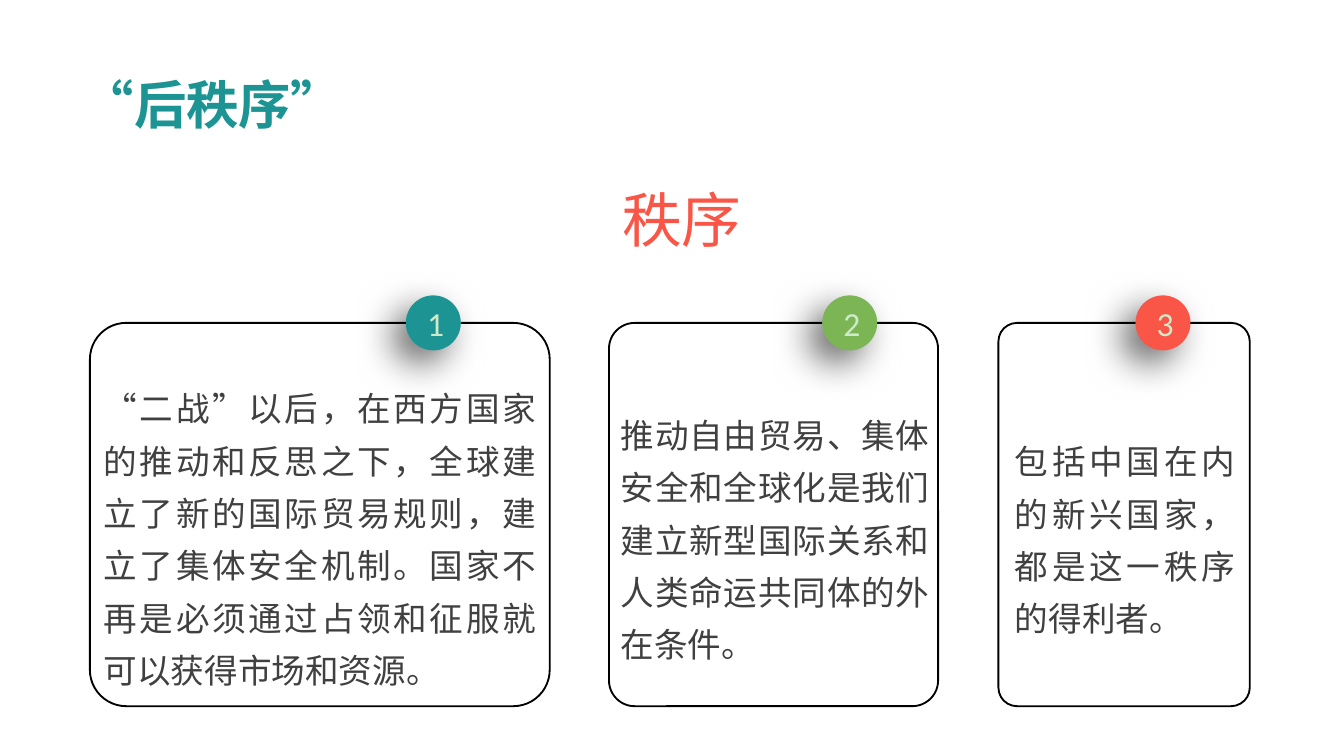
from dataclasses import dataclass

from lxml.etree import SubElement
from pptx import Presentation
from pptx.dml.color import RGBColor
from pptx.enum.shapes import MSO_SHAPE
from pptx.enum.text import MSO_ANCHOR, PP_ALIGN
from pptx.oxml.ns import qn
from pptx.shapes.autoshape import Shape
from pptx.slide import Slide
from pptx.text.text import _Paragraph
from pptx.util import Cm, Pt

TEAL = RGBColor(0x1C, 0x94, 0x94)
GREEN = RGBColor(0x7C, 0xB5, 0x54)
CORAL = RGBColor(0xF9, 0x56, 0x47)
PALE_GREEN = RGBColor(0xCE, 0xEA, 0xCA)
GRAY = RGBColor(0x40, 0x40, 0x40)
BLACK = RGBColor(0, 0, 0)

CHINESE_FONT = "Noto Sans CJK SC"
NUMBER_FONT = "Calibri"

CARD_TOP = 6.1
CARD_HEIGHT = 7.24
BADGE_SIZE = 1.04
TEXT_MIDDLE = 10.11
LINE_HEIGHT = 1.0


@dataclass
class Card:
    left: float
    width: float
    corner: float
    badge_left: float
    color: RGBColor
    text_left: float
    text_width: float
    line_count: int
    text: str


CARDS = [
    Card(1.7, 8.69, 0.095, 7.67, TEAL, 1.96, 8.18, 6,
         "“二战”以后，在西方国家的推动和反思之下，全球建立了新的国际贸易规则，"
         "建立了集体安全机制。国家不再是必须通过占领和征服就可以获得市场和资源。"),
    Card(11.51, 6.22, 0.078, 15.54, GREEN, 11.73, 5.84, 5,
         "推动自由贸易、集体安全和全球化是我们建立新型国际关系和人类命运共同体的外在条件。"),
    Card(18.87, 4.75, 0.074, 21.46, CORAL, 19.18, 4.17, 4,
         "包括中国在内的新兴国家，都是这一秩序的得利者。"),
]


def write(para: _Paragraph, text: str, size: int, color: RGBColor,
          typeface: str = CHINESE_FONT, bold: bool = False) -> None:
    para.text = text
    font = para.font
    font.size, font.bold, font.name = Pt(size), bold, typeface
    font.color.rgb = color
    east_asian = SubElement(font._element, qn("a:ea"))
    east_asian.set("typeface", typeface)


def add_heading(page: Slide, left: float, top: float, width: float, height: float,
                text: str, size: int, color: RGBColor, bold: bool = False) -> None:
    box = page.shapes.add_textbox(Cm(left), Cm(top), Cm(width), Cm(height))
    box.text_frame.word_wrap = False
    write(box.text_frame.paragraphs[0], text, size, color, bold=bold)


def add_outline(page: Slide, card: Card) -> None:
    outline = page.shapes.add_shape(
        MSO_SHAPE.ROUNDED_RECTANGLE,
        Cm(card.left), Cm(CARD_TOP), Cm(card.width), Cm(CARD_HEIGHT))
    outline.adjustments[0] = card.corner
    outline.fill.background()
    outline.line.color.rgb = BLACK
    outline.line.width = Pt(1)
    outline.shadow.inherit = False


def add_shadow(shape: Shape) -> None:
    shape.shadow.inherit = False
    effects = shape._element.spPr.find(qn("a:effectLst"))
    shadow = SubElement(effects, qn("a:outerShdw"), blurRad=str(Pt(20)),
                        dist=str(Pt(10)), dir=str(135 * 60000),
                        algn="tr", rotWithShape="0")
    color = SubElement(shadow, qn("a:srgbClr"), val=str(BLACK))
    SubElement(color, qn("a:alpha"), val="60000")


def add_badge(page: Slide, card: Card, number: int) -> None:
    badge = page.shapes.add_shape(
        MSO_SHAPE.OVAL, Cm(card.badge_left), Cm(CARD_TOP - BADGE_SIZE / 2),
        Cm(BADGE_SIZE), Cm(BADGE_SIZE))
    badge.fill.solid()
    badge.fill.fore_color.rgb = card.color
    badge.line.fill.background()
    add_shadow(badge)
    badge.text_frame.vertical_anchor = MSO_ANCHOR.MIDDLE
    para = badge.text_frame.paragraphs[0]
    para.alignment = PP_ALIGN.CENTER
    write(para, str(number), 18, PALE_GREEN, NUMBER_FONT)


def add_card_text(page: Slide, card: Card) -> None:
    height = card.line_count * LINE_HEIGHT
    box = page.shapes.add_textbox(
        Cm(card.text_left), Cm(TEXT_MIDDLE - height / 2),
        Cm(card.text_width), Cm(height))
    frame = box.text_frame
    frame.word_wrap = True
    frame.margin_left = frame.margin_right = 0
    frame.margin_top = frame.margin_bottom = 0
    para = frame.paragraphs[0]
    para.alignment = PP_ALIGN.JUSTIFY
    para.line_spacing = Pt(28)
    write(para, card.text, 18, GRAY)


def main() -> None:
    deck = Presentation()
    deck.slide_width, deck.slide_height = Cm(25.4), Cm(14.28)
    page = deck.slides.add_slide(deck.slide_layouts[6])
    add_heading(page, 11.51, 3.33, 2.79, 1.63, "秩序", 32, CORAL)
    add_heading(page, 1.3, 1.24, 5.51, 1.45, "“后秩序”", 28, TEAL, bold=True)
    for number, card in enumerate(CARDS, start=1):
        add_outline(page, card)
        add_badge(page, card, number)
        add_card_text(page, card)
    deck.save("out.pptx")


if __name__ == "__main__":
    main()
